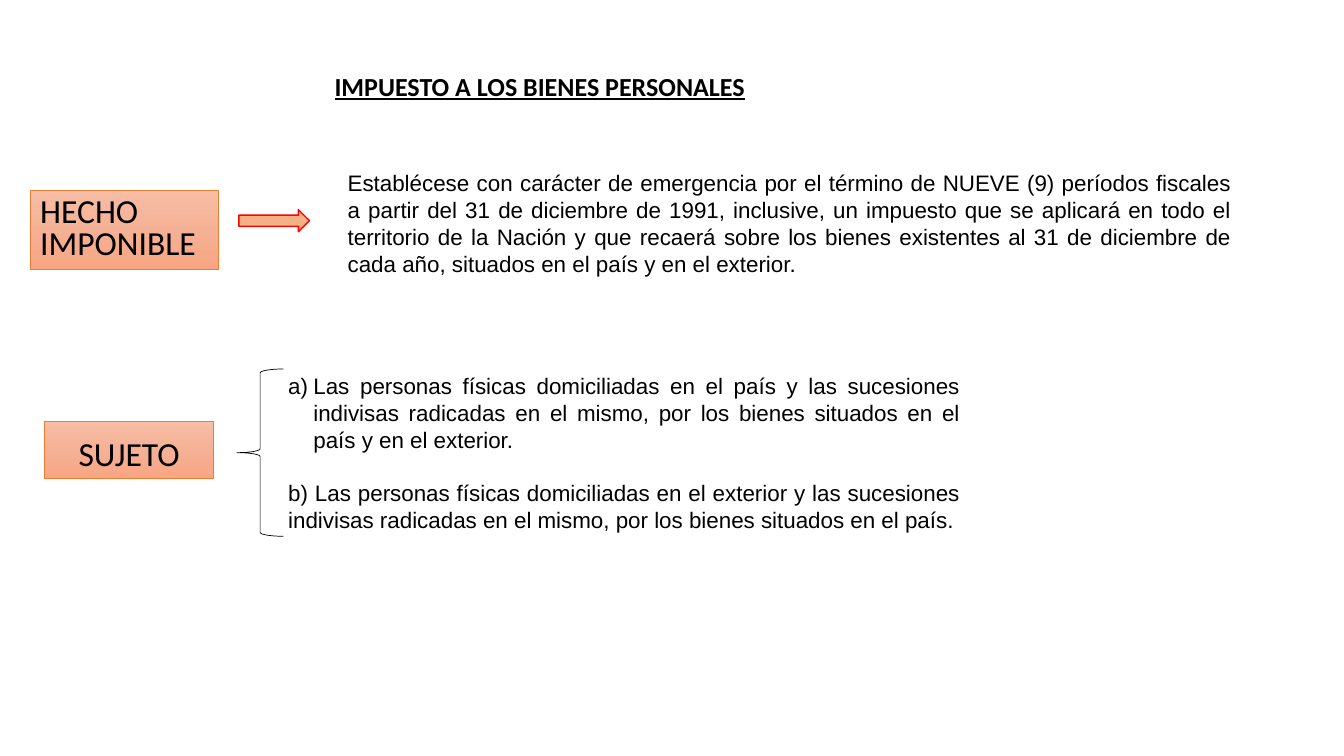
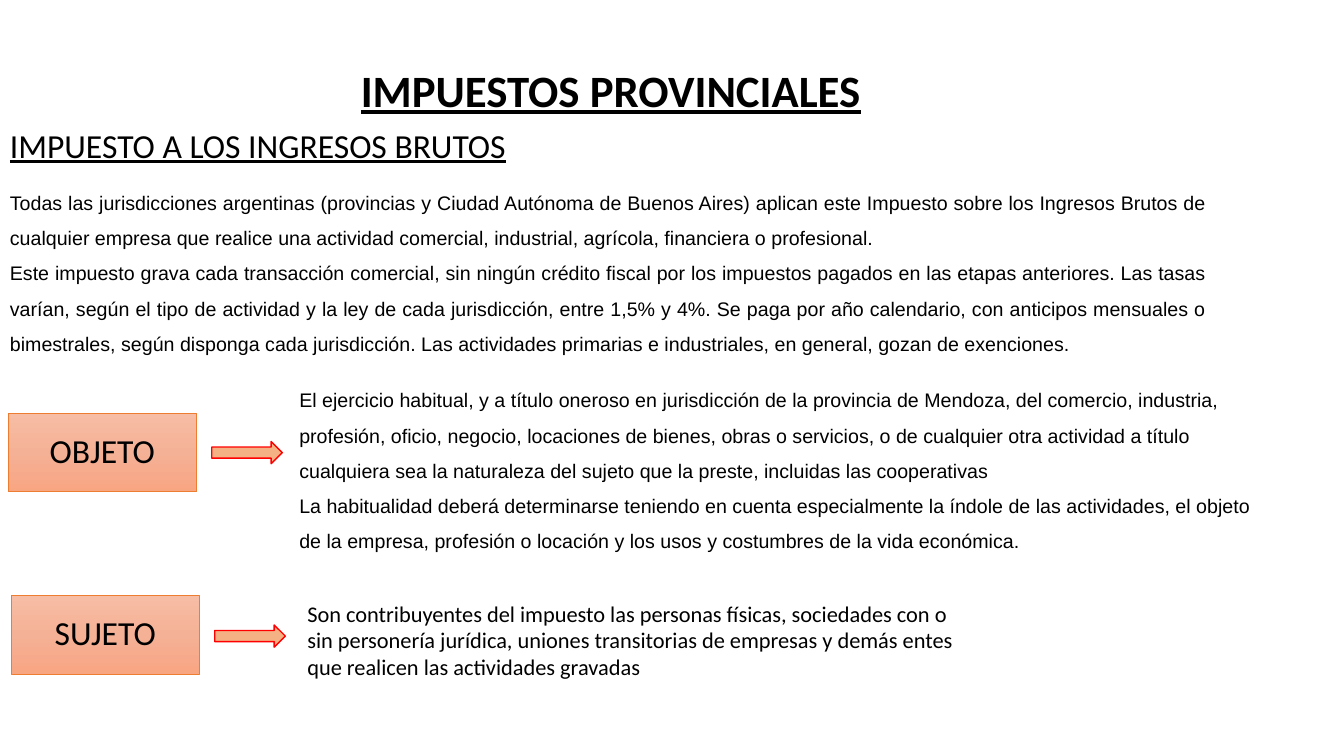
from copy import deepcopy
from dataclasses import dataclass

from lxml import etree
from pptx import Presentation
from pptx import util as u
from pptx.dml.color import RGBColor
from pptx.enum import shapes, text
from pptx.oxml import ns


@dataclass(frozen=True)
class Theme:
    ink: str = "000000"
    label_stops: tuple = ((0, "F7BDA5"), (0.5, "F5B196"), (1, "F8A582"))
    label_line: str = "ED7D31"
    arrow_fill: str = "F4B183"
    arrow_line: str = "FF0000"
    heading_font: str = "Calibri"
    body_font: str = "Arial"
    main_title: float = 32
    label: float = 24
    title: float = 18.6
    body: float = 16
    detail: float = 14


THEME = Theme()
LABEL_SIZE = (1.87, 0.78)
ARROW_SIZE = (0.7, 0.22)
LEFT, CENTER, JUSTIFY = (
    text.PP_ALIGN.LEFT, text.PP_ALIGN.CENTER, text.PP_ALIGN.JUSTIFY)
TOP, MIDDLE, BOTTOM = (
    text.MSO_ANCHOR.TOP, text.MSO_ANCHOR.MIDDLE, text.MSO_ANCHOR.BOTTOM)


def color(value):
    return RGBColor.from_string(value)


def inches(*lengths):
    return [u.Inches(length) for length in lengths]


def number_paragraph(para, indent=0.25):
    """Give a paragraph a hanging a), b), c) number."""
    properties = para._p.get_or_add_pPr()
    properties.set("marL", str(u.Inches(indent)))
    properties.set("indent", str(-u.Inches(indent)))
    etree.SubElement(properties, ns.qn("a:buAutoNum"), type="alphaLcParenR")


def write(box, *paragraphs, size=THEME.body, font=THEME.body_font, bold=False,
          underline=False, align=LEFT, anchor=TOP, spacing=None, gap=0,
          numbered=()):
    """Fill a box; numbered holds the indexes of lettered paragraphs."""
    frame = box.text_frame
    frame.word_wrap = True
    frame.vertical_anchor = anchor
    for index, words in enumerate(paragraphs):
        para = frame.add_paragraph() if index else frame.paragraphs[0]
        if index in numbered:
            number_paragraph(para)
        para.alignment = align
        if spacing:
            para.line_spacing = spacing
        if index and gap:
            para.space_before = u.Pt(gap)
        span = para.add_run()
        span.text = words
        span.font.size = u.Pt(size)
        span.font.name = font
        span.font.bold = bold
        span.font.underline = underline
        span.font.color.rgb = color(THEME.ink)


def add_text(page, place, *paragraphs, grow=True, **style):
    box = page.shapes.add_textbox(*inches(*place))
    write(box, *paragraphs, **style)
    if grow:
        box.text_frame.auto_size = text.MSO_AUTO_SIZE.SHAPE_TO_FIT_TEXT


def add_heading(page, place, words, **style):
    add_text(page, place, words, font=THEME.heading_font, underline=True,
             **style)


def add_outline(page, kind, place, line, width):
    shape = page.shapes.add_shape(kind, *inches(*place))
    shape.shadow.inherit = False
    shape.line.color.rgb = color(line)
    shape.line.width = u.Pt(width)
    return shape


def add_label(page, left, top, words, size=LABEL_SIZE, align=CENTER,
              anchor=MIDDLE, spacing=0.9):
    label = add_outline(page, shapes.MSO_SHAPE.RECTANGLE, (left, top, *size),
                        THEME.label_line, 0.5)
    label.fill.gradient()
    label.fill.gradient_angle = 270
    stop_list = label._element.spPr.find(".//" + ns.qn("a:gsLst"))
    stop_list.insert(1, deepcopy(stop_list[0]))
    for stop, (position, tint) in zip(label.fill.gradient_stops,
                                      THEME.label_stops):
        stop.position = position
        stop.color.rgb = color(tint)
    write(label, words, size=THEME.label, font=THEME.heading_font,
          align=align, anchor=anchor, spacing=spacing)


def add_arrow(page, left, top):
    arrow = add_outline(page, shapes.MSO_SHAPE.RIGHT_ARROW,
                        (left, top, *ARROW_SIZE), THEME.arrow_line, 1)
    arrow.fill.solid()
    arrow.fill.fore_color.rgb = color(THEME.arrow_fill)


def add_brace(page, place):
    brace = add_outline(page, shapes.MSO_SHAPE.RIGHT_BRACE, place,
                        THEME.ink, 0.5)
    brace.fill.background()
    brace.rotation = 180


def personal_assets(page):
    add_heading(page, (3.22, 0.37, 5.63, 0.81),
                "IMPUESTO A LOS BIENES PERSONALES", size=THEME.title,
                bold=True, anchor=MIDDLE, spacing=1.5, grow=False)

    # Taxable event
    add_label(page, 0.3, 1.89, "HECHO IMPONIBLE", align=LEFT, spacing=0.8)
    add_arrow(page, 2.37, 2.08)
    add_text(
        page, (3.35, 1.62, 8.96, 1.18),
        "Establécese con carácter de emergencia por el término de NUEVE (9) "
        "períodos fiscales a partir del 31 de diciembre de 1991, inclusive, "
        "un impuesto que se aplicará en todo el territorio de la Nación y que "
        "recaerá sobre los bienes existentes al 31 de diciembre de cada año, "
        "situados en el país y en el exterior.",
        align=JUSTIFY, anchor=MIDDLE)

    # Taxpayers
    add_label(page, 0.44, 4.18, "SUJETO", size=(1.68, 0.57), anchor=BOTTOM)
    add_text(
        page, (2.76, 3.63, 6.86, 1.72),
        "Las personas físicas domiciliadas en el país y las sucesiones "
        "indivisas radicadas en el mismo, por los bienes situados en el país "
        "y en el exterior.",
        "b) Las personas físicas domiciliadas en el exterior y las sucesiones "
        "indivisas radicadas en el mismo, por los bienes situados en el país.",
        align=JUSTIFY, anchor=MIDDLE, gap=19, numbered=(0,))
    add_brace(page, (2.35, 3.66, 0.46, 1.66))


def provincial_taxes(page):
    add_heading(page, (3.48, 0.2, 5.83, 1.02), "IMPUESTOS PROVINCIALES",
                size=THEME.main_title, bold=True, spacing=1.7)
    add_heading(page, (0, 0.91, 5.83, 0.7), "IMPUESTO A LOS INGRESOS BRUTOS",
                size=THEME.label, spacing=1.7)

    # Introduction
    add_text(
        page, (0, 1.74, 12.07, 1.82),
        "Todas las jurisdicciones argentinas (provincias y Ciudad Autónoma de "
        "Buenos Aires) aplican este Impuesto sobre los Ingresos Brutos de "
        "cualquier empresa que realice una actividad comercial, industrial, "
        "agrícola, financiera o profesional.",
        "Este impuesto grava cada transacción comercial, sin ningún crédito "
        "fiscal por los impuestos pagados en las etapas anteriores. Las tasas "
        "varían, según el tipo de actividad y la ley de cada jurisdicción, "
        "entre 1,5% y 4%. Se paga por año calendario, con anticipos mensuales "
        "o bimestrales, según disponga cada jurisdicción. Las actividades "
        "primarias e industriales, en general, gozan de exenciones.",
        size=THEME.detail, align=JUSTIFY, anchor=MIDDLE, spacing=1.5)

    # Object of the tax
    add_label(page, 0.08, 4.1, "OBJETO")
    add_arrow(page, 2.1, 4.38)
    add_text(
        page, (2.87, 3.7, 9.91, 1.82),
        "El ejercicio habitual, y a título oneroso en jurisdicción de la "
        "provincia de Mendoza, del comercio, industria, profesión, oficio, "
        "negocio, locaciones de bienes, obras o servicios, o de cualquier "
        "otra actividad a título cualquiera sea la naturaleza del sujeto que "
        "la preste, incluidas las cooperativas",
        "La habitualidad deberá determinarse teniendo en cuenta especialmente "
        "la índole de las actividades, el objeto de la empresa, profesión o "
        "locación y los usos y costumbres de la vida económica.",
        size=THEME.detail, anchor=MIDDLE, spacing=1.5)

    # Taxpayers
    add_text(
        page, (2.95, 5.9, 6.67, 0.91),
        "Son contribuyentes del impuesto las personas físicas, sociedades con "
        "o sin personería jurídica, uniones transitorias de empresas y demás "
        "entes que realicen las actividades gravadas",
        font=THEME.heading_font)
    add_label(page, 0.11, 5.91, "SUJETO")
    add_arrow(page, 2.13, 6.2)


def main():
    deck = Presentation()
    deck.slide_width, deck.slide_height = inches(13.33, 7.5)
    for build in (personal_assets, provincial_taxes):
        build(deck.slides.add_slide(deck.slide_layouts[6]))
    deck.save("out.pptx")


if __name__ == "__main__":
    main()
